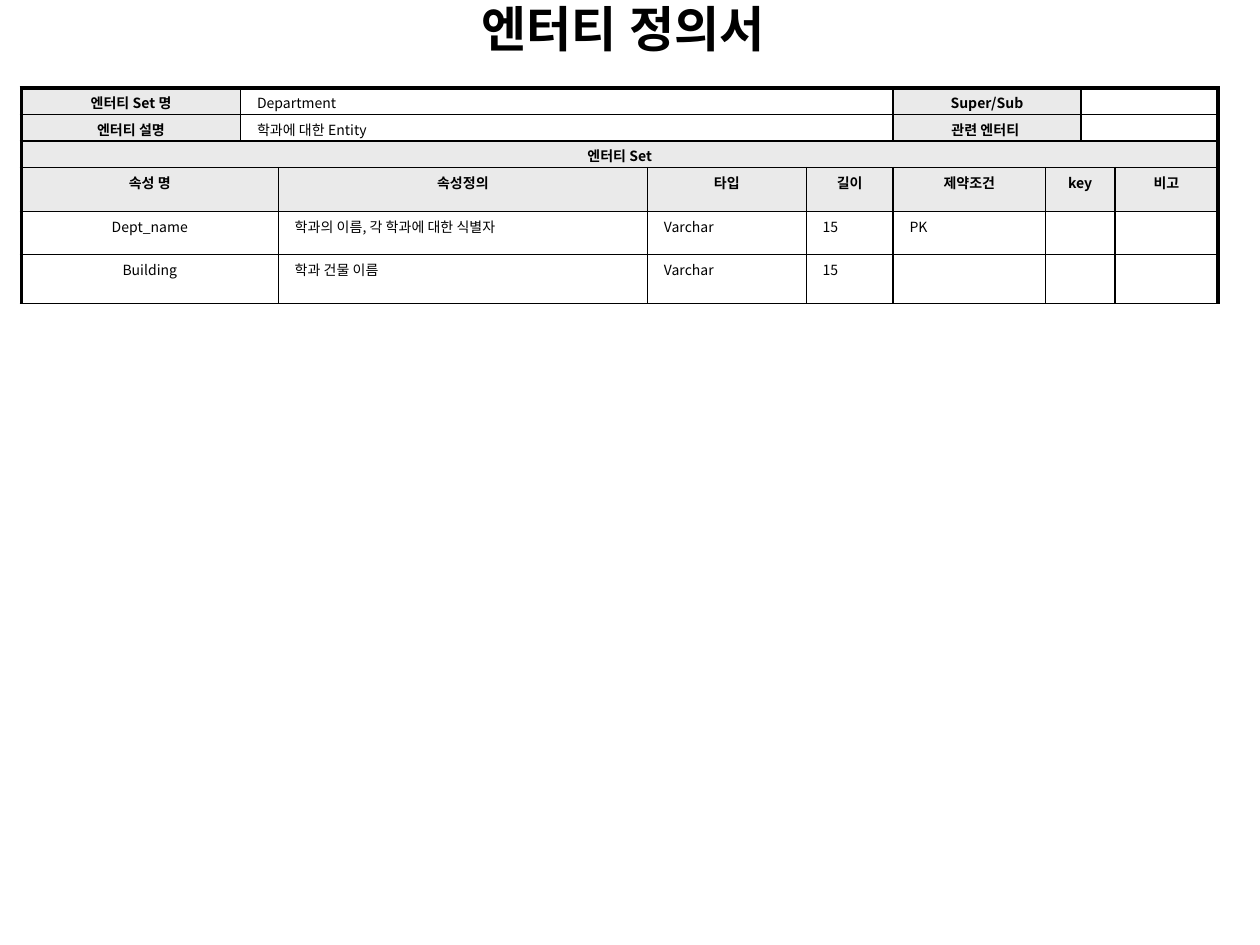
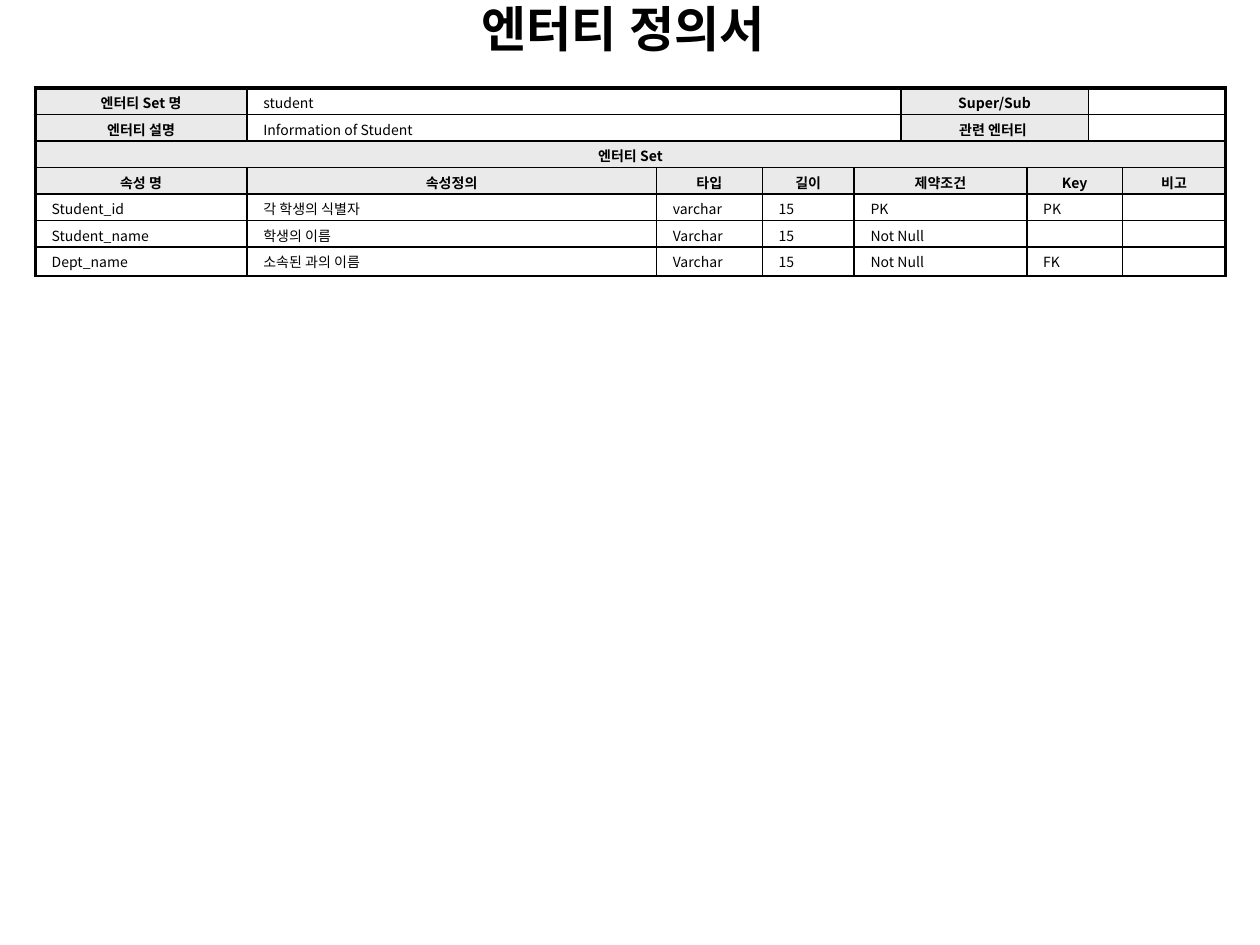
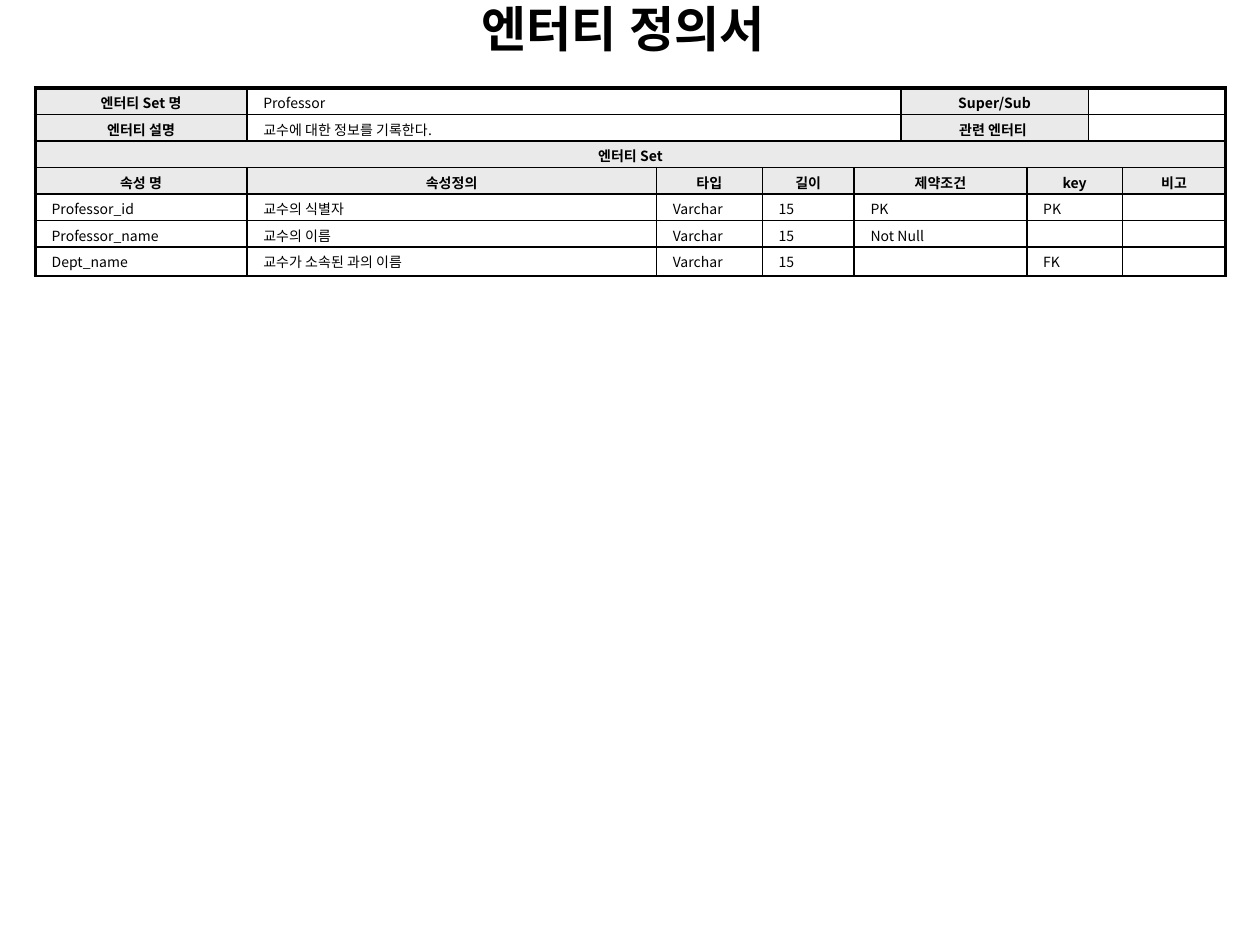
from dataclasses import dataclass

from lxml.etree import SubElement
from pptx import Presentation
from pptx.dml.color import RGBColor
from pptx.enum.text import MSO_ANCHOR, PP_ALIGN
from pptx.oxml.ns import qn
from pptx.util import Inches, Pt


@dataclass(frozen=True)
class Theme:
    """Colours, fonts, type sizes and line widths of the deck."""
    ink: str = "000000"
    header: str = "EAEAEA"
    title_font: str = "Arial"
    body_font: str = "Noto Sans CJK KR"
    title_size: float = 28
    body_size: float = 8
    thin: float = 1
    thick: float = 2.25


@dataclass(frozen=True)
class Grid:
    """Column widths and spans of one table layout."""
    left: float
    cols: tuple
    attribute_spans: tuple
    name_align: PP_ALIGN


TOP_SPANS = (1, 4, 2, 2)
WIDE_NAME = Grid(0.17, (1.74, 0.27, 2.93, 1.26, 0.69, 1.21, 0.28, 0.27, 0.82),
                 (2, 1, 1, 1, 1, 2, 1), PP_ALIGN.CENTER)
PLAIN_NAME = Grid(0.28, (1.68, 3.25, 0.84, 0.73, 0.37, 1, 0.49, 0.27, 0.82),
                  (1, 1, 1, 1, 2, 2, 1), PP_ALIGN.LEFT)


def write(tf, text, *, size, font, color, bold=False, align=PP_ALIGN.LEFT,
          before=0):
    """Write one formatted paragraph; before is a percentage of a line."""
    p = tf.paragraphs[0]
    p.alignment = align
    if before:
        space = SubElement(p._p.get_or_add_pPr(), qn("a:spcBef"))
        SubElement(space, qn("a:spcPct"), val=str(before * 1000))
    if not text:
        SubElement(p._p, qn("a:endParaRPr"), sz=str(int(size * 100)))
        return
    r = p.add_run()
    r.text = text
    r.font.size = Pt(size)
    r.font.name = font
    r.font.bold = bold
    r.font.color.rgb = RGBColor.from_string(color)
    SubElement(r._r.get_or_add_rPr(), qn("a:ea"), typeface=font)


class Deck:
    """Holds the theme, the presentation and the current slide."""

    def __init__(self, theme):
        """Start a 10 by 7.5 inch presentation."""
        self.theme = theme
        self.prs = Presentation()
        self.prs.slide_width = Inches(10)
        self.prs.slide_height = Inches(7.5)
        self.s = None

    def slide(self, title):
        """Add a blank slide with the shared title."""
        self.s = self.prs.slides.add_slide(self.prs.slide_layouts[6])
        sp = self.s.shapes.add_textbox(0, Inches(0.01), Inches(10), Inches(0.42))
        tf = sp.text_frame
        tf.word_wrap = True
        tf.vertical_anchor = MSO_ANCHOR.MIDDLE
        write(tf, title, size=self.theme.title_size, font=self.theme.title_font,
              color=self.theme.ink, bold=True, align=PP_ALIGN.CENTER)

    def borders(self, cell, **widths):
        """Draw the cell sides named L, R, T and B in the given widths."""
        tc_pr = cell._tc.get_or_add_tcPr()
        for side, width in widths.items():
            ln = SubElement(tc_pr, qn("a:ln" + side), w=str(Pt(width)))
            fill = SubElement(ln, qn("a:solidFill"))
            SubElement(fill, qn("a:srgbClr"), val=self.theme.ink)

    def cell(self, cell, text, header, align):
        """Fill one cell as a shaded header or a plain value."""
        cell.margin_left = cell.margin_right = Inches(0.13)
        cell.margin_top = cell.margin_bottom = Pt(2.5)
        if header:
            cell.fill.solid()
            cell.fill.fore_color.rgb = RGBColor.from_string(self.theme.header)
        else:
            cell.fill.background()
        write(cell.text_frame, text, size=self.theme.body_size,
              font=self.theme.body_font, color=self.theme.ink, bold=header,
              align=PP_ALIGN.CENTER if header else align, before=20)

    def row(self, table, index, spans, texts, headers, name_align=PP_ALIGN.LEFT):
        """Lay out one row; headers holds the positions of shaded cells."""
        thin, thick = self.theme.thin, self.theme.thick
        last = len(table.columns) - 1
        start = 0
        for i, (span, text) in enumerate(zip(spans, texts)):
            end = start + span - 1
            for col in range(start, end + 1):
                cell = table.cell(index, col)
                self.borders(cell, L=thin if start else thick,
                             R=thick if end == last else thin,
                             T=thin if index else thick, B=thin)
                self.cell(cell, text if col == start else "", i in headers,
                          PP_ALIGN.LEFT if i else name_align)
            if span > 1:
                table.cell(index, start).merge(table.cell(index, end))
            start = end + 1

    def entity_table(self, grid, heights, name, about, key_label, attributes):
        """Add the definition table of one entity."""
        frame = self.s.shapes.add_table(
            len(heights), len(grid.cols), Inches(grid.left), Inches(0.7),
            Inches(sum(grid.cols)), Inches(sum(heights)))
        table = frame.table
        table.first_row = table.horz_banding = False
        for column, width in zip(table.columns, grid.cols):
            column.width = Inches(width)
        for row, height in zip(table.rows, heights):
            row.height = Inches(height)
        labels = ("속성 명", "속성정의", "타입", "길이", "제약조건", key_label, "비고")
        self.row(table, 0, TOP_SPANS, ("엔터티 Set 명", name, "Super/Sub", ""), (0, 2))
        self.row(table, 1, TOP_SPANS, ("엔터티 설명", about, "관련 엔터티 ", ""), (0, 2))
        self.row(table, 2, (len(grid.cols),), ("엔터티 Set",), (0,))
        self.row(table, 3, grid.attribute_spans, labels, range(len(labels)))
        for i, values in enumerate(attributes, start=4):
            self.row(table, i, grid.attribute_spans, values, (), grid.name_align)


ENTITIES = [
    (WIDE_NAME, (0.21, 0.21, 0.21, 0.35, 0.34, 0.39),
     "Department", "학과에 대한 Entity", "key", [
         ("Dept_name", "학과의 이름, 각 학과에 대한 식별자", "Varchar", "15", "PK", "", ""),
         ("Building", "학과 건물 이름", "Varchar", "15", "", "", ""),
     ]),
    (PLAIN_NAME, (0.21,) * 6 + (0.23,),
     "student", "Information of Student", "Key", [
         ("Student_id", "각 학생의 식별자", "varchar", "15", "PK", "PK", ""),
         ("Student_name", "학생의 이름", "Varchar", "15", "Not Null", "", ""),
         ("Dept_name", "소속된 과의 이름", "Varchar", "15", "Not Null", "FK", ""),
     ]),
    (PLAIN_NAME, (0.21,) * 6 + (0.23,),
     "Professor", "교수에 대한 정보를 기록한다.", "key", [
         ("Professor_id", "교수의 식별자", "Varchar", "15", "PK", "PK", ""),
         ("Professor_name", "교수의 이름", "Varchar", "15", "Not Null", "", ""),
         ("Dept_name", "교수가 소속된 과의 이름", "Varchar", "15", "", "FK", ""),
     ]),
]

deck = Deck(Theme())
for entity in ENTITIES:
    deck.slide("엔터티 정의서 ")
    deck.entity_table(*entity)
deck.prs.save("out.pptx")
